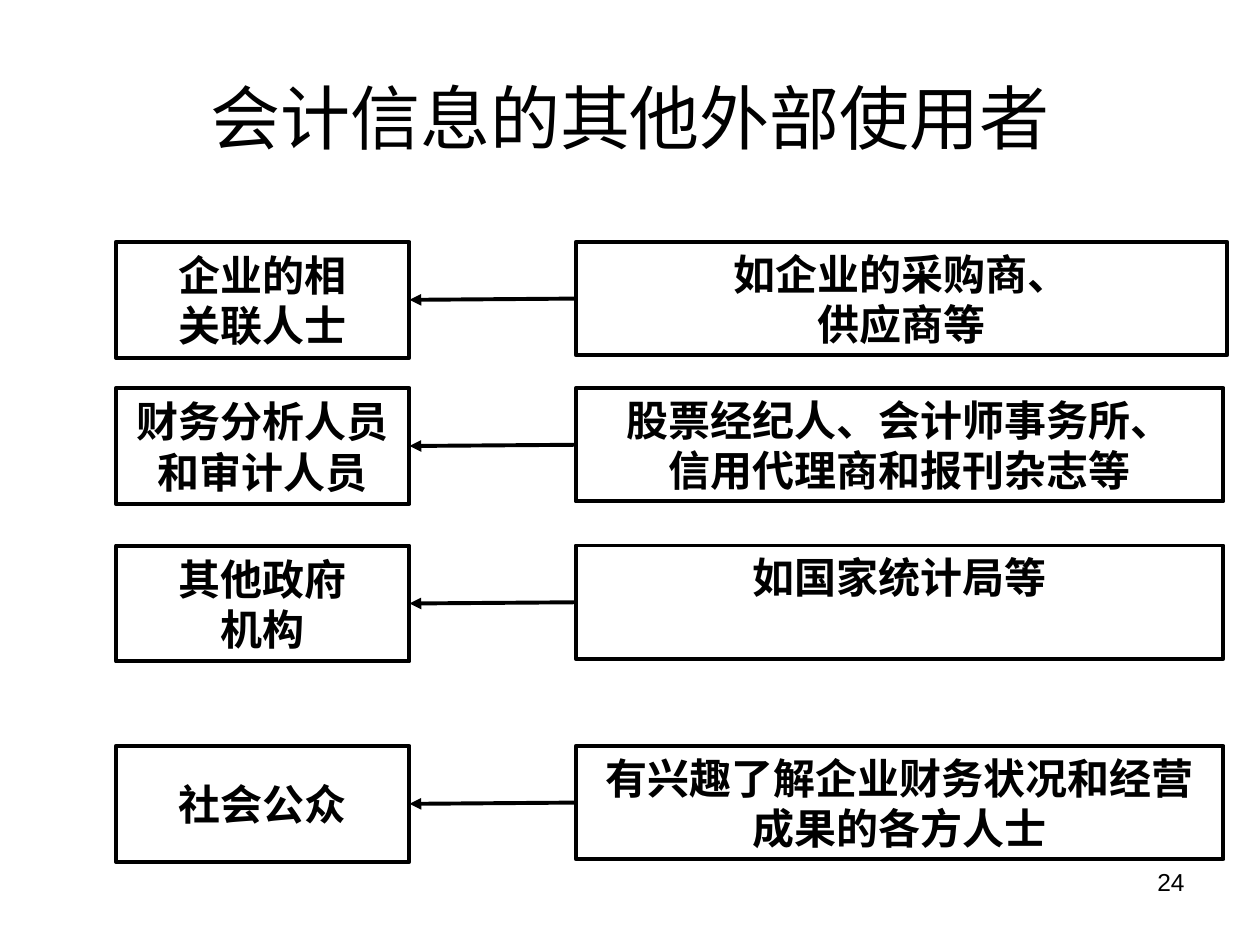
from lxml import etree
from pptx import Presentation
from pptx import util as u
from pptx.dml.color import RGBColor
from pptx.enum import shapes, text
from pptx.oxml.ns import qn

BLACK, WHITE = "000000", "FFFFFF"
LINE_WIDTH = u.Pt(2.25)
LEFT_SIDE, RIGHT_SIDE = 1, 3
USER_LEFT, USER_WIDTH, USER_HEIGHT = 0.92, 2.33, 0.92
DETAIL_LEFT, DETAIL_WIDTH, DETAIL_HEIGHT = 4.57, 5.14, 0.9

# Top, user, examples, width of the examples box; \v breaks a line within a paragraph
ROWS = [
    (1.92, "企业的相\n关联人士", "如企业的采购商、\n供应商等", 5.17),
    (3.08, "财务分析人员\n和审计人员", "股票经纪人、会计师事务所、\v信用代理商和报刊杂志等", DETAIL_WIDTH),
    (4.33, "其他政府\n机构", "如国家统计局等", DETAIL_WIDTH),
    (5.92, "社会公众", "有兴趣了解企业财务状况和经营成果的各方人士", DETAIL_WIDTH),
]


def color(value):
    return RGBColor.from_string(value)


def write(box, words, size=24, bold=False, align=text.PP_ALIGN.CENTER,
          anchor=text.MSO_ANCHOR.TOP, wrap=True):
    frame = box.text_frame
    frame.word_wrap = wrap
    frame.vertical_anchor = anchor
    frame.text = words
    for para in frame.paragraphs:
        para.alignment = align
        for span in para.runs:
            span.font.name = "Arial"
            span.font.size = u.Pt(size)
            span.font.bold = bold
            span.font.color.rgb = color(BLACK)


def add_label(page, left, top, width, height, words, **layout):
    box = page.shapes.add_textbox(*map(u.Inches, (left, top, width, height)))
    write(box, words, **layout)


def add_frame(page, left, top, width, height, words, **layout):
    box = page.shapes.add_shape(shapes.MSO_SHAPE.RECTANGLE,
                                *map(u.Inches, (left, top, width, height)))
    box.shadow.inherit = False
    box.fill.solid()
    box.fill.fore_color.rgb = color(WHITE)
    box.line.color.rgb = color(BLACK)
    box.line.width = LINE_WIDTH
    write(box, words, bold=True, **layout)
    return box


def add_arrow(page, source, target):
    """Point from the left side of source to the right side of target."""
    arrow = page.shapes.add_connector(shapes.MSO_CONNECTOR.STRAIGHT, 0, 0, 0, 0)
    arrow.begin_connect(source, LEFT_SIDE)
    arrow.end_connect(target, RIGHT_SIDE)
    arrow.line.color.rgb = color(BLACK)
    arrow.line.width = LINE_WIDTH
    etree.SubElement(arrow.line._get_or_add_ln(), qn("a:tailEnd"), type="triangle")
    etree.SubElement(arrow._element.spPr, qn("a:effectLst"))


def main():
    deck = Presentation()
    deck.slide_width, deck.slide_height = u.Inches(10), u.Inches(7.5)
    page = deck.slides.add_slide(deck.slide_layouts[6])

    add_label(page, 0.5, 0.3, 9, 1.25, "会计信息的其他外部使用者",
              size=40, anchor=text.MSO_ANCHOR.MIDDLE)
    for top, user, examples, width in ROWS:
        user_box = add_frame(page, USER_LEFT, top, USER_WIDTH, USER_HEIGHT, user,
                             anchor=text.MSO_ANCHOR.MIDDLE, wrap=False)
        detail_box = add_frame(page, DETAIL_LEFT, top, width, DETAIL_HEIGHT, examples)
        add_arrow(page, detail_box, user_box)
    add_label(page, 7.17, 6.83, 2.33, 0.52, "24", size=14, align=text.PP_ALIGN.RIGHT)

    deck.save("out.pptx")


if __name__ == "__main__":
    main()
